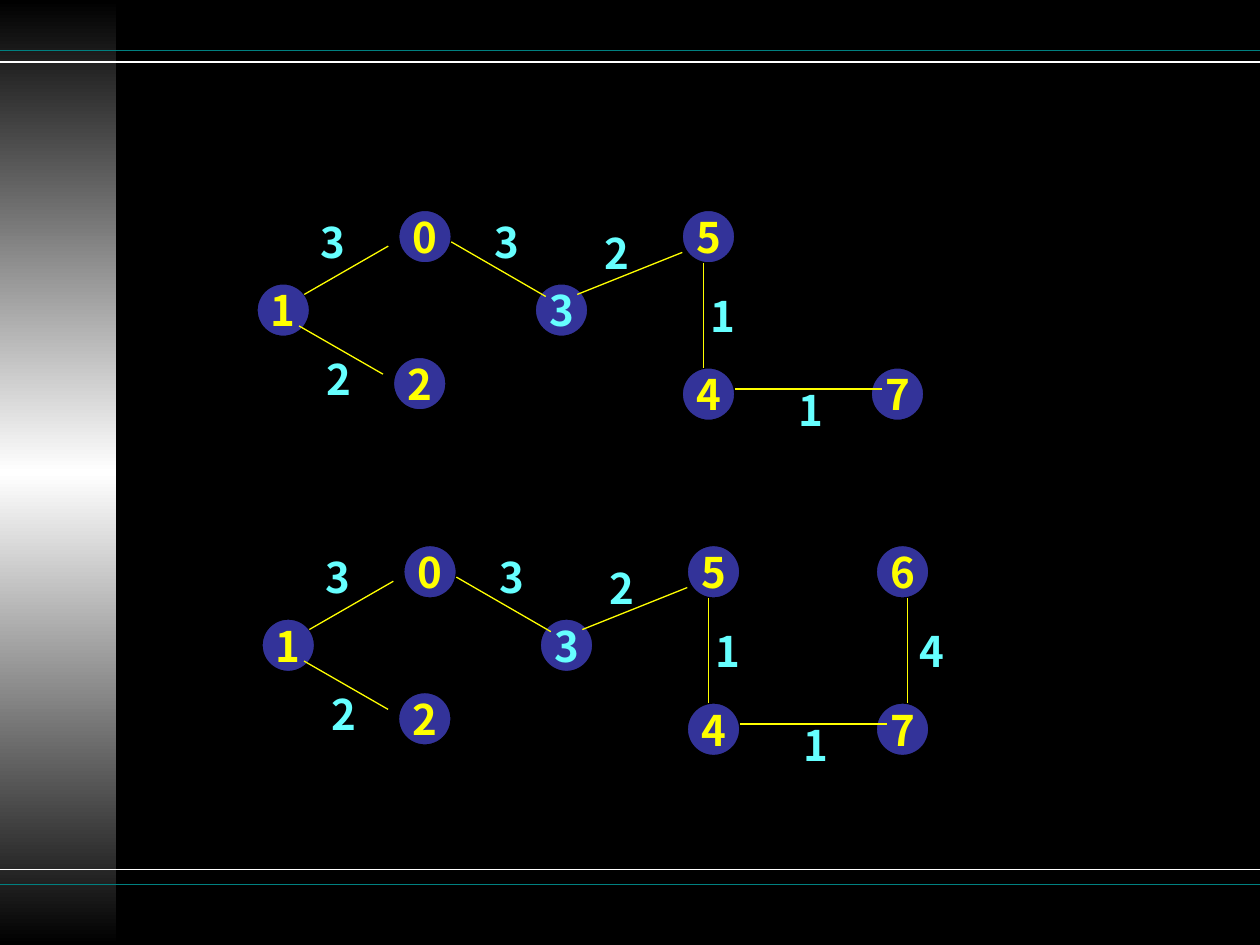
from copy import deepcopy

from lxml.etree import SubElement
from pptx import Presentation
from pptx.dml.color import RGBColor
from pptx.enum.shapes import MSO_CONNECTOR as Connector, MSO_SHAPE as Preset
from pptx.enum.text import MSO_ANCHOR as Anchor, MSO_AUTO_SIZE as AutoSize, PP_ALIGN as Align
from pptx.oxml.ns import qn
from pptx.util import Inches, Pt

COLORS = {
    "background": "000000", "highlight": "FFFFFF", "rule": "008080",
    "node": "333399", "edge": "FFFF00", "node_text": "FFFF00", "weight": "66FFFF",
}
FONT = "Noto Sans CJK SC"
WIDTH, HEIGHT = 10, 7.5
CELL = 1 / 24
NODE_SIZE = 10
LABEL_SIZE = (9.4, 12)

NODES = {
    "2": (26, 28), "1": (0, 14), "3": (53, 14), "4": (81, 30),
    "5": (81, 0), "0": (27, 0), "7": (117, 30),
}
EDGES = [
    ("1", (85, 10, 85, 30), (84, 14)),
    ("1", (91, 34, 119, 34), (100.8, 32)),
    ("2", (61, 16, 81, 8), (63.8, 2)),
    ("3", (37, 6, 55, 16.4), (42.8, 0)),
    ("3", (9, 16, 25, 6.8), (9.8, 0)),
    ("2", (8, 22, 24, 31.2), (10.8, 26)),
]
ADDED_NODE = {"6": (117, 0)}
ADDED_EDGE = [("4", (123, 10, 123, 30), (122.8, 14))]


def color(name):
    """Return the palette colour with the given name."""
    return RGBColor.from_string(COLORS[name])


def write_text(shape, text, *, ink, align=Align.LEFT, anchor=Anchor.TOP, size=24):
    """Put one bold, unwrapped line of text in a shape."""
    frame = shape.text_frame
    frame.word_wrap = False
    frame.vertical_anchor = anchor
    paragraph = frame.paragraphs[0]
    paragraph.text = text
    paragraph.alignment = align
    font = paragraph.font
    font.name, font.size, font.bold = FONT, Pt(size), True
    font.color.rgb = color(ink)


def add_line(shapes, start, end, ink, weight):
    """Draw a straight line between two points given in inches."""
    line = shapes.add_connector(Connector.STRAIGHT, *map(Inches, (*start, *end)))
    line.line.color.rgb = color(ink)
    line.line.width = Pt(weight)
    SubElement(line._element.spPr, qn("a:effectLst"))


def add_sidebar(shapes, left, top, width, height):
    """Draw the band that fades from dark to light and back."""
    band = shapes.add_shape(Preset.RECTANGLE, *map(Inches, (left, top, width, height)))
    band.shadow.inherit = False
    band.line.fill.background()
    band.fill.gradient()
    band.fill.gradient_angle = 90
    stop_list = band._element.spPr.find(".//" + qn("a:gsLst"))
    stop_list.insert(1, deepcopy(stop_list[0]))
    names = ("background", "highlight", "background")
    for index, (stop, name) in enumerate(zip(band.fill.gradient_stops, names)):
        stop.position = index / 2
        stop.color.rgb = color(name)


def add_frame(shapes, width, height):
    """Draw the sidebar and the double rules at the head and foot."""
    add_sidebar(shapes, 0, 0, 0.092 * width, height)
    rules = [(0.4, "rule"), (0.49, "highlight"), (6.9, "highlight"), (7.02, "rule")]
    for top, ink in rules:
        add_line(shapes, (0, top), (width, top), ink, 1)


def add_tree(slide, left, top, nodes, edges):
    """Draw a weighted tree on a grid whose corner is at left, top."""
    shapes = slide.shapes.add_group_shape().shapes

    def place(column, row):
        """Turn a grid position into inches on the slide."""
        return left + column * CELL, top + row * CELL

    def box(position, columns, rows):
        """Return the box of a part placed on the grid."""
        return map(Inches, (*place(*position), columns * CELL, rows * CELL))

    for name, position in nodes.items():
        node = shapes.add_shape(Preset.OVAL, *box(position, NODE_SIZE, NODE_SIZE))
        node.shadow.inherit = False
        node.fill.solid()
        node.fill.fore_color.rgb = color("node")
        node.line.color.rgb = color("background")
        node.line.width = Pt(0.75)
        ink = "weight" if name == "3" else "node_text"
        write_text(node, name, ink=ink, align=Align.CENTER, anchor=Anchor.MIDDLE)
    for weight, ends, position in edges:
        add_line(shapes, place(*ends[:2]), place(*ends[2:]), "edge", 0.75)
        label = shapes.add_textbox(*box(position, *LABEL_SIZE))
        write_text(label, weight, ink="weight")
        label.text_frame.auto_size = AutoSize.SHAPE_TO_FIT_TEXT


def main():
    """Build the slide with the tree before and after its last edge."""
    presentation = Presentation()
    presentation.slide_width, presentation.slide_height = Inches(WIDTH), Inches(HEIGHT)
    slide = presentation.slides.add_slide(presentation.slide_layouts[6])
    slide.background.fill.solid()
    slide.background.fill.fore_color.rgb = color("background")
    add_frame(slide.shapes, WIDTH, HEIGHT)
    add_tree(slide, 2.04, 1.67, NODES, EDGES)
    add_tree(slide, 2.08, 4.33, NODES | ADDED_NODE, EDGES + ADDED_EDGE)
    presentation.save("out.pptx")


if __name__ == "__main__":
    main()
